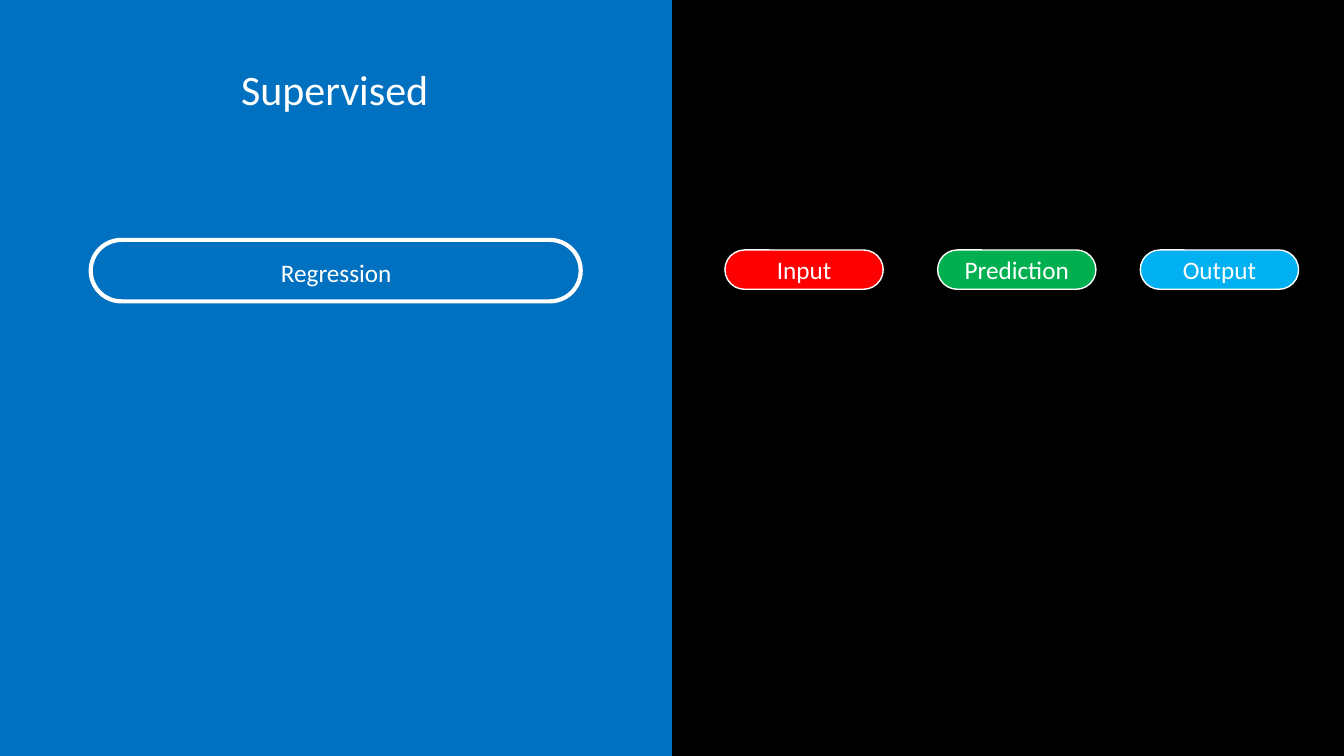
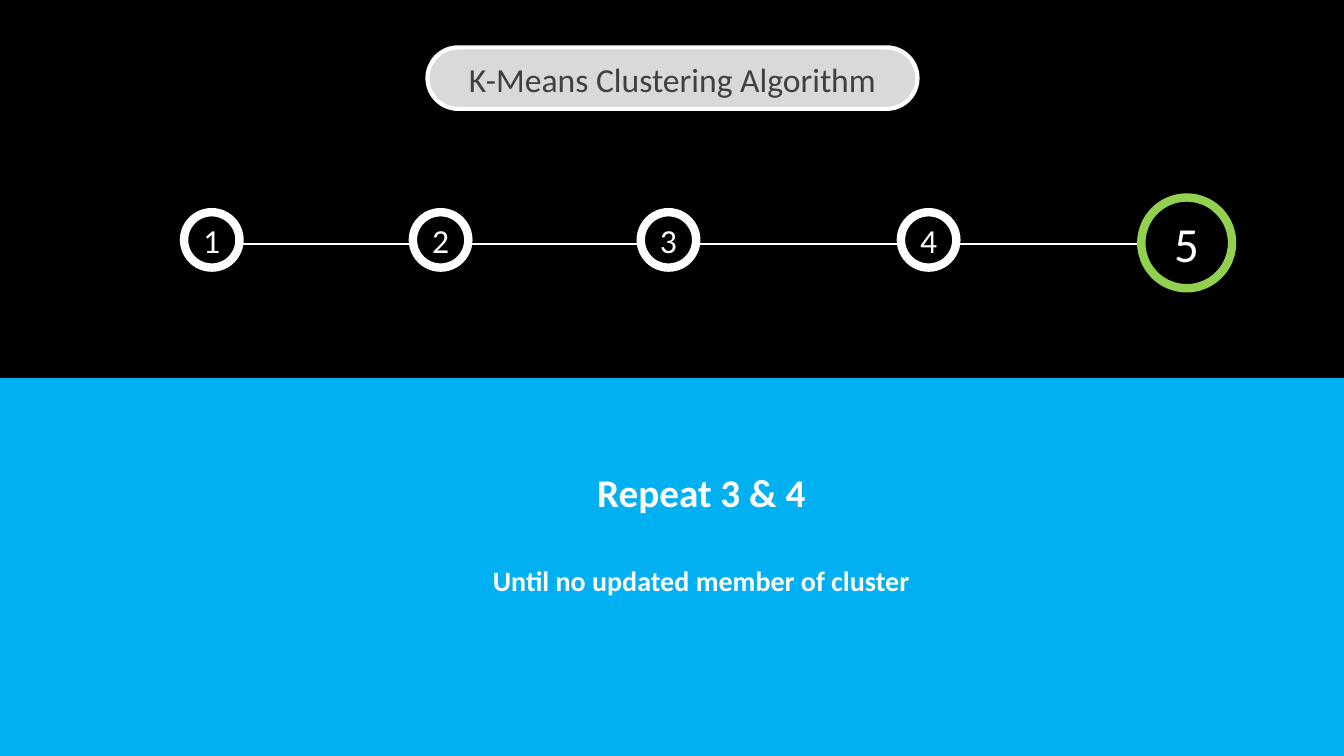
import dataclasses
import typing

import lxml.etree
import pptx
import pptx.dml.color
import pptx.enum.shapes
import pptx.enum.text
import pptx.oxml
import pptx.oxml.ns
import pptx.util

RGB = pptx.dml.color.RGBColor
KIND = pptx.enum.shapes.MSO_SHAPE
ANCHOR = pptx.enum.text.MSO_ANCHOR
Inches = pptx.util.Inches
Pt = pptx.util.Pt
qn = pptx.oxml.ns.qn

BLACK = RGB(0x00, 0x00, 0x00)
WHITE = RGB(0xFF, 0xFF, 0xFF)
BLUE = RGB(0x00, 0x70, 0xC0)
SKY = RGB(0x00, 0xB0, 0xF0)
RED = RGB(0xFF, 0x00, 0x00)
GREEN = RGB(0x00, 0xB0, 0x50)
LIME = RGB(0x92, 0xD0, 0x50)
SILVER = RGB(0xD9, 0xD9, 0xD9)
GRAY = RGB(0x40, 0x40, 0x40)

FONT = "Calibri"
WIDE, HIGH = 13.33, 7.5
TITLED, LISTED = 5, 1


@dataclasses.dataclass(frozen=True)
class Box:
    left: float
    top: float
    width: float
    height: float

    def place(self) -> tuple[int, ...]:
        return tuple(Inches(v) for v in dataclasses.astuple(self))


@dataclasses.dataclass(frozen=True)
class Pill:
    text: str
    left: float
    fill: RGB


@dataclasses.dataclass(frozen=True)
class Step:
    text: str
    mid: float
    row: float = 2.38
    size: float = 0.55
    points: int = 24
    ring: RGB = WHITE


PILLS = (
    Pill("Input", 7.19, RED),
    Pill("Prediction", 9.3, GREEN),
    Pill("Output", 11.31, SKY),
)
STEPS = (
    Step("1", 2.1),
    Step("2", 4.37),
    Step("3", 6.63),
    Step("4", 9.21),
    Step("5", 11.77, row=2.41, size=0.9, points=35, ring=LIME),
)


def write(para: typing.Any, text: str, *, size: int = 18, color: RGB = WHITE,
          bold: bool = False, before: float = 0) -> None:
    para.alignment = pptx.enum.text.PP_ALIGN.CENTER
    para.line_spacing = 1.0
    para.space_before = Pt(before)
    run = para.add_run()
    run.text = text
    font = run.font
    font.name, font.size, font.bold = FONT, Pt(size), bold
    font.color.rgb = color


def draw(slide: typing.Any, kind: KIND, box: Box, *, fill: RGB | None = None,
         line: RGB | None = None, weight: float = 1) -> typing.Any:
    shape = slide.shapes.add_shape(kind, *box.place())
    shape.shadow.inherit = False
    if fill is None:
        shape.fill.background()
    else:
        shape.fill.solid()
        shape.fill.fore_color.rgb = fill
    if line is None:
        shape.line.fill.background()
    else:
        shape.line.color.rgb = line
        shape.line.width = Pt(weight)
    if kind == KIND.ROUNDED_RECTANGLE:
        shape.adjustments[0] = 0.5
    shape.text_frame.vertical_anchor = ANCHOR.MIDDLE
    return shape


def settle(slide: typing.Any, shape: typing.Any, box: Box) -> typing.Any:
    shape.left, shape.top, shape.width, shape.height = box.place()
    slide.shapes.element.append(shape.element)
    frame = shape.text_frame
    frame.word_wrap = False
    frame.auto_size = pptx.enum.text.MSO_AUTO_SIZE.NONE
    frame.vertical_anchor = ANCHOR.TOP
    return frame


def head(slide: typing.Any, text: str, box: Box, *, size: int,
         color: RGB = WHITE) -> None:
    frame = settle(slide, slide.shapes.title, box)
    write(frame.paragraphs[0], text, size=size, color=color)


def frame_pill(slide: typing.Any, left: float, top: float,
               fill: RGB | None = None) -> typing.Any:
    return draw(slide, KIND.ROUNDED_RECTANGLE, Box(left, top, 4.86, 0.61),
                fill=fill, line=WHITE, weight=3)


def shade(shape: typing.Any) -> None:
    effects = shape.element.spPr.find(qn("a:effectLst"))
    outer = lxml.etree.SubElement(effects, qn("a:outerShdw"), {
        "blurRad": str(Pt(4)), "dist": str(Pt(3)), "dir": "2700000",
        "algn": "tl", "rotWithShape": "0"})
    color = lxml.etree.SubElement(outer, qn("a:srgbClr"), {"val": str(BLACK)})
    lxml.etree.SubElement(color, qn("a:alpha"), {"val": "40000"})


def plain(shape: typing.Any) -> None:
    for props in shape.element.iter(qn("a:pPr")):
        props.set("marL", "0")
        props.set("indent", "0")
        lxml.etree.SubElement(props, qn("a:buNone"))


def learning(deck: typing.Any) -> None:
    slide = deck.slides.add_slide(deck.slide_layouts[TITLED])
    draw(slide, KIND.RECTANGLE, Box(0, 0, WIDE / 2, HIGH), fill=BLUE)
    head(slide, "Supervised", Box(2.28, 0.58, 2.08, 0.61), size=30)
    frame_pill(slide, 0.9, 2.38)
    label = slide.shapes.add_textbox(*Box(2.68, 2.5, 1.31, 0.4).place())
    label.text_frame.word_wrap = False
    write(label.text_frame.paragraphs[0], "Regression")
    for pill in PILLS:
        shape = draw(slide, KIND.ROUNDED_RECTANGLE,
                     Box(pill.left, 2.48, 1.57, 0.39),
                     fill=pill.fill, line=WHITE)
        write(shape.text_frame.paragraphs[0], pill.text)


def cluster(deck: typing.Any) -> None:
    slide = deck.slides.add_slide(deck.slide_layouts[LISTED])
    body = slide.placeholders[1]
    rail = slide.shapes.add_connector(
        pptx.enum.shapes.MSO_CONNECTOR.STRAIGHT,
        Inches(2.12), Inches(2.42), Inches(11.78), Inches(2.42))
    rail.line.color.rgb = WHITE
    rail.line.width = Pt(1.5)
    lxml.etree.SubElement(rail.element.spPr, qn("a:effectLst"))

    shade(frame_pill(slide, 4.24, 0.47, SILVER))
    head(slide, "K-Means Clustering Algorithm", Box(4.53, 0.53, 4.28, 0.5),
         size=24, color=GRAY)
    for step in STEPS:
        half = step.size / 2
        disc = draw(slide, KIND.OVAL,
                    Box(step.mid - half, step.row - half, step.size, step.size),
                    fill=BLACK, line=step.ring, weight=6)
        write(disc.text_frame.paragraphs[0], step.text, size=step.points)

    draw(slide, KIND.RECTANGLE, Box(0, HIGH / 2, WIDE, HIGH / 2), fill=SKY)
    frame = settle(slide, body, Box(4.77, 4.6, 4.37, 1.38))
    write(frame.paragraphs[0], "Repeat 3 & 4", size=28, bold=True)
    write(frame.add_paragraph(), "Until no updated member of cluster",
          size=20, bold=True, before=34)
    plain(body)


def main() -> None:
    deck = pptx.Presentation()
    deck.slide_width, deck.slide_height = Inches(WIDE), Inches(HIGH)
    back = deck.slide_master.background.fill
    back.solid()
    back.fore_color.rgb = BLACK
    learning(deck)
    cluster(deck)
    deck.save("out.pptx")


if __name__ == "__main__":
    main()
